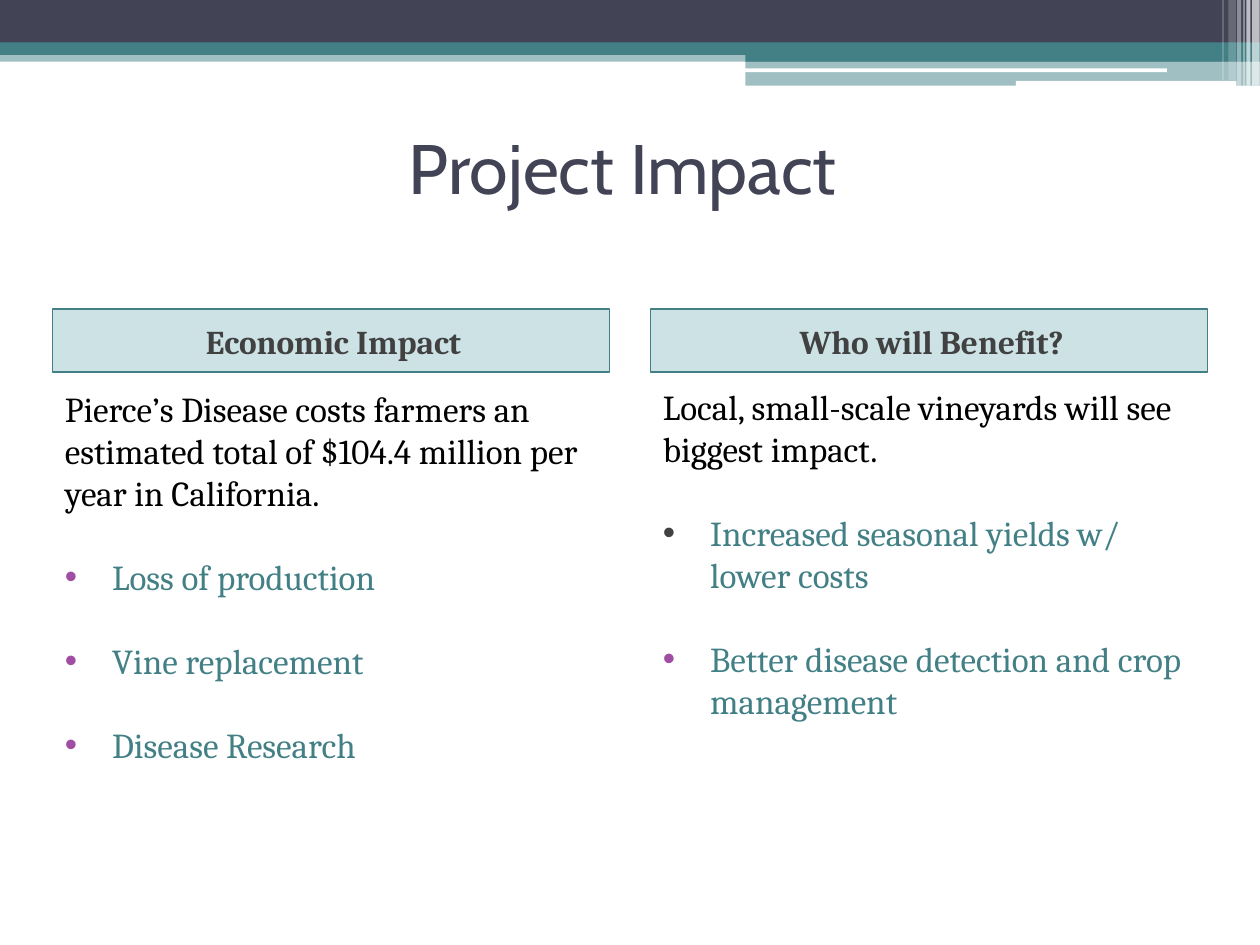
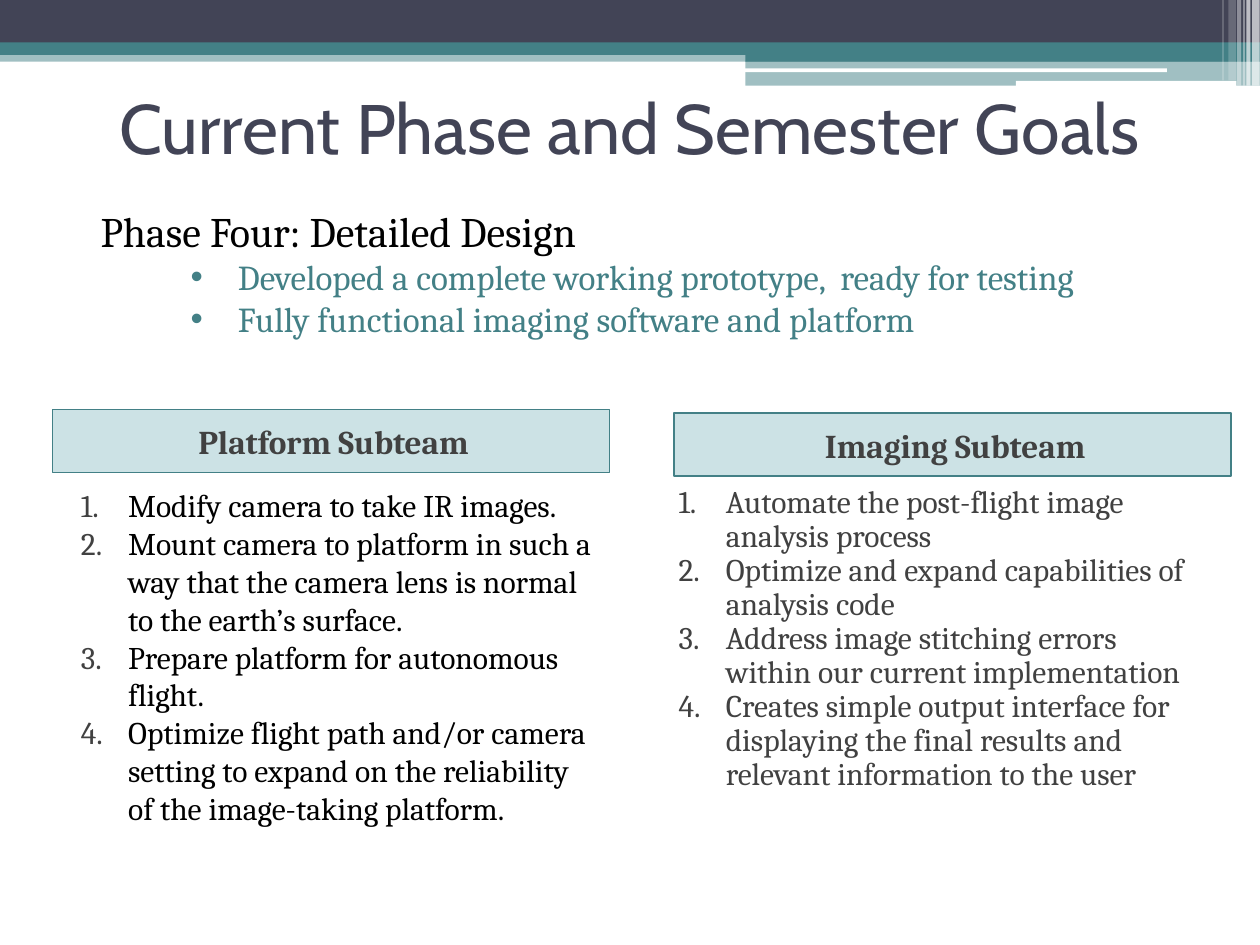
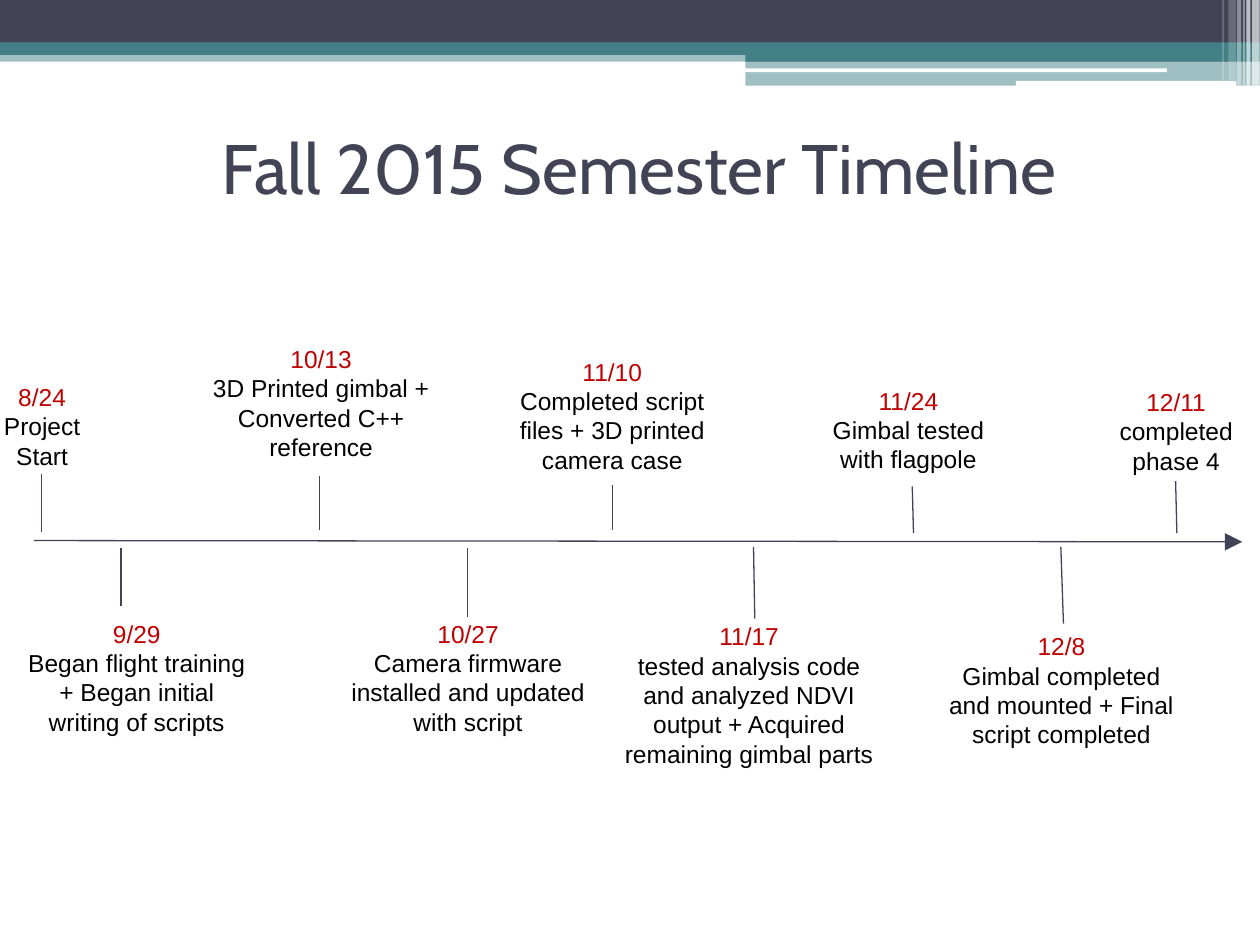
"""Build three project slides: impact, semester goals and timeline."""
from lxml.etree import SubElement
from pptx import Presentation
from pptx.dml.color import RGBColor
from pptx.enum.shapes import MSO_CONNECTOR, MSO_SHAPE
from pptx.enum.text import MSO_ANCHOR, PP_ALIGN
from pptx.oxml.ns import qn
from pptx.util import Pt

COLORS = {
    "navy": "424456", "teal": "438086", "pale": "CCE2E5", "white": "FFFFFF",
    "gray": "414141", "black": "000000", "purple": "A04DA3", "red": "C00000",
}
RGB = {name: RGBColor.from_string(value) for name, value in COLORS.items()}

BANDS = [
    (0, 28.8, 720, 6.5, "teal", 50),
    (0, 0, 720, 24.5, "navy", 100),
    (0, 24.2, 720, 7.2, "teal", 100),
    (426, 28, 294, 7.2, "teal", 100),
    (426, 34.7, 294, 14.2, "teal", 50),
    (425.5, 39.1, 241.4, 2.2, "white", 100),
    (580.5, 46.2, 126, 2.9, "white", 100),
    (715.5, 0, 4.3, 49, "white", 65),
    (712.3, 0, 2.2, 49, "white", 65),
    (710.5, 0, 0.7, 49, "white", 60),
    (707, 0, 2.2, 49, "white", 40),
    (702, 0, 4.3, 46, "white", 20),
    (698.5, 0, 0.7, 46, "white", 30),
]
TITLES = [
    ("Project Impact ", (30.2, 53.3, 660.2, 84.2)),
    ("Current Phase and Semester Goals", (-7.2, 30.2, 733.7, 84.2)),
    ("Fall 2015 Semester Timeline ", (39.6, 52.9, 660.2, 84.2)),
]
HEADERS = [
    (0, "Economic Impact", 30, 176.8),
    (0, "Who will Benefit?", 371.7, 176.8),
    (1, "Platform Subteam", 30, 234),
    (1, "Imaging Subteam", 385.2, 236.2),
]
IMPACTS = [
    ((30, 214.3, 318.4, 260), [
        ("Pierce’s Disease costs farmers an estimated total of $104.4 million per year in California.", "black"),
        ("Loss of production", "teal"),
        ("Vine replacement", "teal"),
        ("Disease Research", "teal"),
    ], ["purple", "purple", "purple"]),
    ((371.7, 213.1, 318.4, 260), [
        ("Local, small-scale vineyards will see biggest impact.", "black"),
        ("Increased seasonal yields w/ lower costs", "teal"),
        ("Better disease detection and crop management", "teal"),
    ], ["gray", "purple"]),
]
GOALS = [
    ((30.2, 270.7, 318.4, 250), "black", 1, [
        "Modify camera to take IR images.",
        "Mount camera to platform in such a way that the camera lens is normal to the earth’s surface.",
        "Prepare platform for autonomous flight.",
        "Optimize flight path and/or camera setting to expand on the reliability of the image-taking platform.",
    ]),
    ((371.7, 270.7, 318.4, 250), "gray", 0.9, [
        "Automate the post-flight image analysis process",
        "Optimize and expand capabilities of analysis code",
        "Address image stitching errors within our current implementation",
        "Creates simple output interface for displaying the final results and relevant information to the user",
    ]),
]
EVENTS = [
    ("8/24", "Project Start", (-14.4, 211, 77, 75), (23.8, 303.8, 23.8, 270.7)),
    ("9/29", "Began flight training + Began initial writing of scripts", (5.8, 346.3, 144.7, 80), (69.1, 313.2, 69.1, 346.3)),
    ("10/13", "3D Printed gimbal + Converted C++ reference", (100, 189.4, 167, 80), (182.6, 272.2, 182.6, 303)),
    ("10/27", "Camera firmware installed and updated with script", (189.4, 346.3, 156.2, 80), (267, 313.2, 267, 352.8)),
    ("11/10", "Completed script files + 3D printed camera case", (288.7, 196.6, 122.4, 80), (350, 277.2, 350, 303)),
    ("11/17", "tested analysis code and analyzed NDVI output + Acquired remaining gimbal parts", (350, 347.8, 156.2, 111), (430.6, 312.5, 431.3, 353.5)),
    ("11/24", "Gimbal tested with flagpole", (467.3, 213.1, 103.7, 60), (521.3, 278, 522, 304.6)),
    ("12/8", "Gimbal completed and mounted + Final script completed", (534.2, 353.5, 144.7, 80), (606.2, 312.5, 607.7, 356.4)),
    ("12/11", "completed phase 4", (627.1, 213.8, 90, 60), (671.8, 275, 672.5, 304.6)),
]


def add_text(s, box, lines, size, font="Cambria", align=PP_ALIGN.LEFT, anchor=MSO_ANCHOR.TOP):
    """Add a text box with one coloured paragraph per line."""
    sp = s.shapes.add_textbox(*map(Pt, box))
    tf = sp.text_frame
    tf.word_wrap = True
    tf.vertical_anchor = anchor
    tf.margin_left = tf.margin_right = tf.margin_top = tf.margin_bottom = Pt(7.2)
    tf.text = "\n".join(text for text, _ in lines)
    for p, (_, color) in zip(tf.paragraphs, lines):
        p.alignment = align
        f = p.runs[0].font
        f.size, f.name, f.color.rgb = Pt(size), font, RGB[color]
    return sp


def add_bullet(p, color, left, numbered=False):
    """Give a paragraph a hanging bullet or number."""
    pPr = p._p.get_or_add_pPr()
    pPr.set("marL", str(Pt(left)))
    pPr.set("indent", str(Pt(-27)))
    SubElement(SubElement(pPr, qn("a:buClr")), qn("a:srgbClr"), val=COLORS[color])
    if numbered:
        SubElement(pPr, qn("a:buFont"), typeface="Cambria")
        SubElement(pPr, qn("a:buAutoNum"), type="arabicPeriod")
    else:
        SubElement(pPr, qn("a:buFont"), typeface="Arial")
        SubElement(pPr, qn("a:buChar"), char="•")


prs = Presentation()
prs.slide_width, prs.slide_height = Pt(720), Pt(540)

for title, box in TITLES:
    s = prs.slides.add_slide(prs.slide_layouts[6])
    for x, y, w, h, color, alpha in BANDS:
        sp = s.shapes.add_shape(MSO_SHAPE.RECTANGLE, Pt(x), Pt(y), Pt(w), Pt(h))
        sp.shadow.inherit = False
        sp.line.fill.background()
        sp.fill.solid()
        sp.fill.fore_color.rgb = RGB[color]
        if alpha < 100:
            clr = sp._element.spPr.find(qn("a:solidFill"))[0]
            SubElement(clr, qn("a:alpha"), val=str(alpha * 1000))
    add_text(s, box, [(title, "navy")], 40, "Cabin", PP_ALIGN.CENTER, MSO_ANCHOR.MIDDLE)

impact, goals, timeline = prs.slides

for index, text, x, y in HEADERS:
    sp = add_text(prs.slides[index], (x, y, 318.4, 36), [(text, "gray")], 19,
                  align=PP_ALIGN.CENTER, anchor=MSO_ANCHOR.MIDDLE)
    sp.text_frame.paragraphs[0].runs[0].font.bold = True
    sp.text_frame.margin_left = Pt(10)
    sp.fill.solid()
    sp.fill.fore_color.rgb = RGB["pale"]
    sp.line.color.rgb = RGB["teal"]
    sp.line.width = Pt(1)

for box, lines, bullets in IMPACTS:
    sp = add_text(impact, box, lines, 20)
    for p, color in zip(sp.text_frame.paragraphs[1:], bullets):
        p.space_before = Pt(24)
        add_bullet(p, color, 27)

sp = add_text(goals, (50.4, 113.8, 653, 85), [
    ("Phase Four: Detailed Design", "black"),
    ("Developed a complete working prototype,  ready for testing", "teal"),
    ("Fully functional imaging software and platform", "teal"),
], 20)
sp.text_frame.margin_top = Pt(3.6)
phase, *results = sp.text_frame.paragraphs
phase.runs[0].font.size = Pt(24)
for p in results:
    add_bullet(p, "teal", 78.5)

for box, color, spacing, items in GOALS:
    sp = add_text(goals, box, [(item, color) for item in items], 18)
    for p in sp.text_frame.paragraphs:
        p.line_spacing = spacing
        add_bullet(p, "gray", 36, numbered=True)

for date, text, box, _ in EVENTS:
    add_text(timeline, box, [(date, "red"), (text, "black")], 14, "Arial", PP_ALIGN.CENTER)

axis = (19.4, 308.9, 709.9, 309.6)
for ends in [axis] + [tick for *_, tick in EVENTS]:
    line = timeline.shapes.add_connector(MSO_CONNECTOR.STRAIGHT, *map(Pt, ends))
    line.line.color.rgb = RGB["navy"]
    line.line.width = Pt(0.75)
    if ends == axis:
        SubElement(line.line._get_or_add_ln(), qn("a:tailEnd"), type="triangle", w="lg", len="lg")
    SubElement(line._element.spPr, qn("a:effectLst"))

prs.save("out.pptx")
